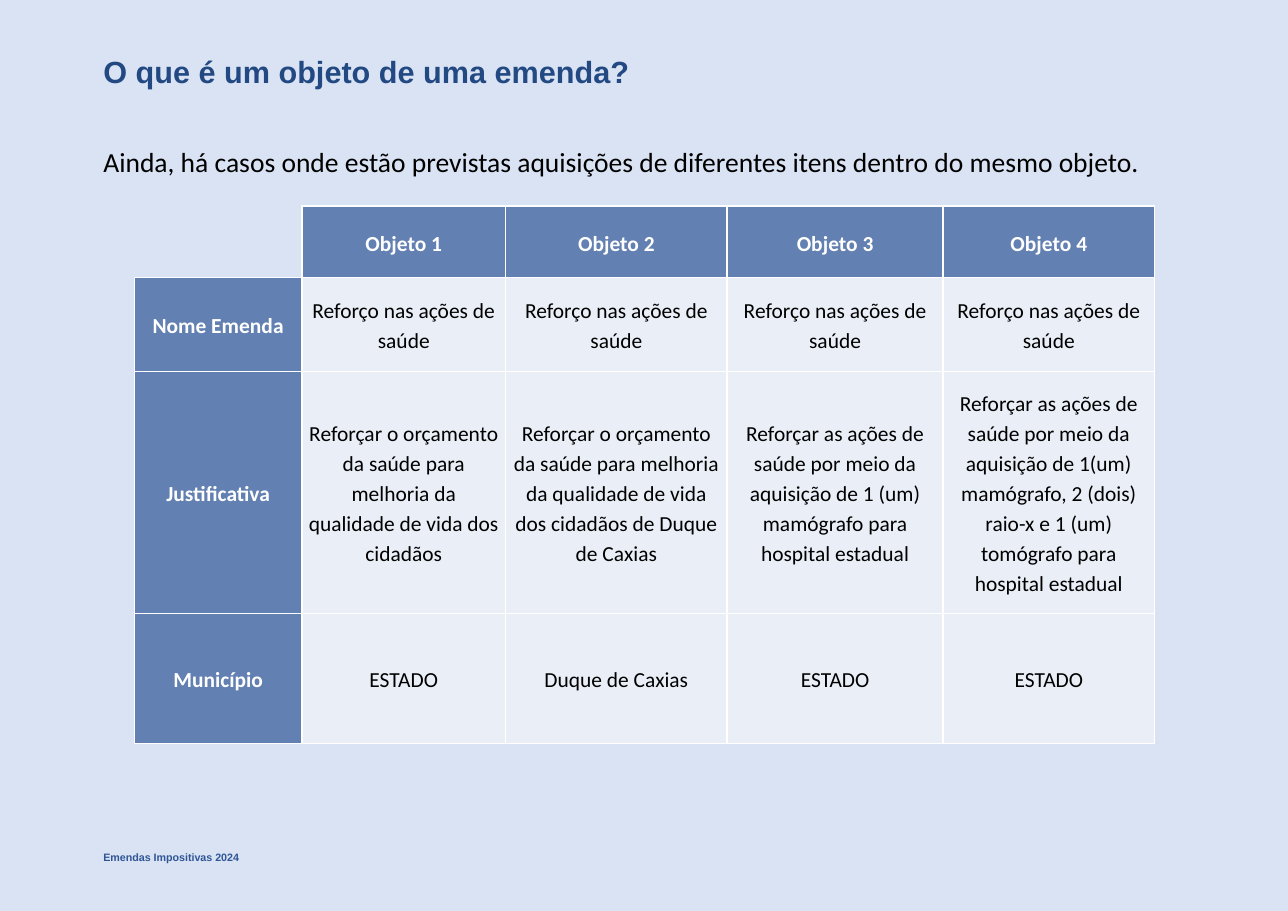
from dataclasses import dataclass

from lxml import etree
from pptx import Presentation
from pptx.dml.color import RGBColor
from pptx.enum.shapes import MSO_SHAPE
from pptx.enum.text import MSO_ANCHOR, PP_ALIGN
from pptx.oxml.ns import qn
from pptx.util import Inches, Pt

RECTANGLE = MSO_SHAPE.RECTANGLE
MIDDLE = MSO_ANCHOR.MIDDLE
LEFT, CENTER, JUSTIFY = PP_ALIGN.LEFT, PP_ALIGN.CENTER, PP_ALIGN.JUSTIFY


@dataclass(frozen=True)
class Theme:
    page: str = "F2F2F2"
    backdrop: str = "DAE3F3"
    title: str = "234983"
    footer: str = "2F5597"
    header: str = "6380B2"
    body: str = "EAEFF7"
    white: str = "FFFFFF"
    black: str = "000000"
    heading_font: str = "Arial"
    body_font: str = "Calibri"
    title_size: int = 20
    intro_size: int = 18
    table_size: int = 14
    footer_size: int = 7


THEME = Theme()
WIDTH, HEIGHT = 11.69, 8.27
COLUMN_WIDTHS = (1.52, 1.85, 2.01, 1.96, 1.92)
ROW_HEIGHTS = (0.65, 0.85, 2.2, 1.18)
AMENDMENTS = (
    ("", "Objeto 1", "Objeto 2", "Objeto 3", "Objeto 4"),
    ("Nome Emenda",) + ("Reforço nas ações de saúde",) * 4,
    (
        "Justificativa",
        "Reforçar o orçamento da saúde para melhoria da qualidade de vida dos cidadãos",
        "Reforçar o orçamento da saúde para melhoria da qualidade de vida dos cidadãos de Duque de Caxias",
        "Reforçar as ações de saúde por meio da aquisição de 1 (um) mamógrafo para hospital estadual",
        "Reforçar as ações de saúde por meio da aquisição de 1(um) mamógrafo, 2 (dois) raio-x e 1 (um) "
        "tomógrafo para hospital estadual",
    ),
    ("Município", "ESTADO", "Duque de Caxias", "ESTADO", "ESTADO"),
)


def paint(fill, color):
    fill.solid()
    fill.fore_color.rgb = RGBColor.from_string(color)


def write(frame, text, *, size, color, font=THEME.body_font, bold=False,
          align=LEFT, line=1.0, before=0, after=0):
    frame.word_wrap = True
    paragraph = frame.paragraphs[0]
    paragraph.alignment = align
    paragraph.line_spacing = line
    paragraph.space_before = Pt(before)
    paragraph.space_after = Pt(after)
    run = paragraph.add_run()
    run.text = text
    run.font.name = font
    run.font.size = Pt(size)
    run.font.bold = bold
    run.font.color.rgb = RGBColor.from_string(color)


def add_text(slide, box, text, **style):
    frame = slide.shapes.add_textbox(*map(Inches, box)).text_frame
    write(frame, text, **style)


def add_backdrop(slide, box):
    paint(slide.background.fill, THEME.page)
    backdrop = slide.shapes.add_shape(RECTANGLE, *map(Inches, box))
    backdrop.shadow.inherit = False
    backdrop.line.fill.background()
    paint(backdrop.fill, THEME.backdrop)


def set_borders(cell, visible):
    properties = cell._tc.get_or_add_tcPr()
    for position, side in enumerate("LRTB"):
        border = etree.Element(qn(f"a:ln{side}"), w=str(Pt(1)))
        if side in visible:
            solid = etree.SubElement(border, qn("a:solidFill"))
            etree.SubElement(solid, qn("a:srgbClr"), val=THEME.white)
        else:
            etree.SubElement(border, qn("a:noFill"))
        properties.insert(position, border)


def fill_cell(cell, text, is_header):
    paint(cell.fill, THEME.header if is_header else THEME.body)
    cell.vertical_anchor = MIDDLE
    cell.margin_left = cell.margin_right = Inches(0.06)
    cell.margin_top = cell.margin_bottom = 0
    write(cell.text_frame, text, size=THEME.table_size, bold=is_header,
          color=THEME.white if is_header else THEME.black,
          align=CENTER, line=1.15, before=12)
    set_borders(cell, "LRTB")


def add_amendments(slide, box):
    table = slide.shapes.add_table(
        len(AMENDMENTS), len(AMENDMENTS[0]), *map(Inches, box)).table
    table.first_row = False
    table.horz_banding = False
    for column, width in zip(table.columns, COLUMN_WIDTHS):
        column.width = Inches(width)
    for row, height in zip(table.rows, ROW_HEIGHTS):
        row.height = Inches(height)
    for r, texts in enumerate(AMENDMENTS):
        for c, text in enumerate(texts):
            if text:
                fill_cell(table.cell(r, c), text, r == 0 or c == 0)
    corner = table.cell(0, 0)
    paint(corner.fill, THEME.backdrop)
    set_borders(corner, "RB")


def add_headings(slide, box):
    left, top, width, height = box
    add_text(slide, (left, top, 5.6, 0.44), "O que é um objeto de uma emenda?",
             size=THEME.title_size, color=THEME.title, font=THEME.heading_font,
             bold=True, before=6)
    add_text(slide, (left, top + height - 0.43, width, 0.43),
             "Ainda, há casos onde estão previstas aquisições de diferentes "
             "itens dentro do mesmo objeto.",
             size=THEME.intro_size, color=THEME.black, align=JUSTIFY,
             line=1.15, before=12, after=12)


def add_footer(slide, box):
    add_text(slide, box, "Emendas Impositivas 2024", size=THEME.footer_size,
             color=THEME.footer, font=THEME.heading_font, bold=True, before=6)


def main():
    deck = Presentation()
    deck.slide_width, deck.slide_height = Inches(WIDTH), Inches(HEIGHT)
    slide = deck.slides.add_slide(deck.slide_layouts[6])
    add_backdrop(slide, (0, 0, WIDTH, HEIGHT))
    add_headings(slide, (0.84, 0.43, 9.96, 1.22))
    add_footer(slide, (0.84, 7.67, 3.35, 0.22))
    add_amendments(slide, (1.22, 1.87, sum(COLUMN_WIDTHS), sum(ROW_HEIGHTS)))
    deck.save("out.pptx")


if __name__ == "__main__":
    main()
